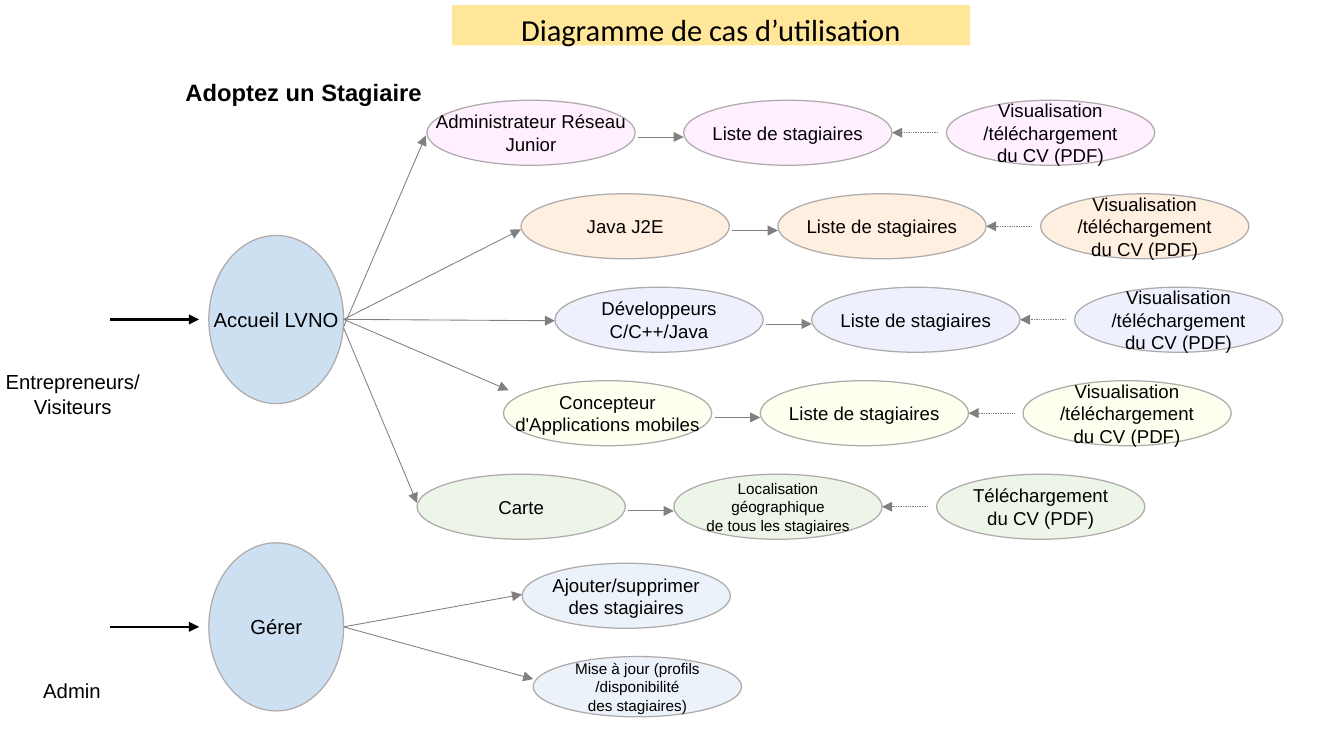
from dataclasses import dataclass
from typing import Optional

from lxml.etree import SubElement
from pptx import Presentation
from pptx.dml.color import RGBColor
from pptx.enum.dml import MSO_LINE
from pptx.enum.shapes import MSO_CONNECTOR, MSO_SHAPE
from pptx.enum.text import MSO_ANCHOR, PP_ALIGN
from pptx.oxml.ns import qn
from pptx.shapes.shapetree import SlideShapes
from pptx.text.text import TextFrame
from pptx.util import Pt


@dataclass(frozen=True)
class Theme:
    body_font: str = "Arial"
    title_font: str = "Calibri"
    ink: str = "000000"
    banner: str = "FFE699"
    hub: str = "5B9BD5"
    admin: str = "BDD7EE"
    outline: str = "AFABAB"
    arrow: str = "808080"
    opacity: int = 30
    title_size: float = 18
    heading_size: float = 14
    hub_size: float = 12
    case_size: float = 11
    small_size: float = 9
    thin: float = 0.5
    thick: float = 1.5


THEME = Theme()


@dataclass(frozen=True)
class Point:
    x: float
    y: float


@dataclass(frozen=True)
class Box:
    left: float
    top: float
    width: float
    height: float

    @property
    def middle(self) -> float:
        return self.top + self.height / 2

    @property
    def right(self) -> float:
        return self.left + self.width

    def lengths(self) -> tuple[Pt, Pt, Pt, Pt]:
        return Pt(self.left), Pt(self.top), Pt(self.width), Pt(self.height)


@dataclass(frozen=True)
class UseCase:
    """One line of three linked ovals, reached from the home hub."""
    left: float
    color: str
    profile: str
    arrow_end: Point
    arrow_start_y: float = 188.6
    listing: str = "Liste de stagiaires"
    listing_size: float = THEME.case_size
    document: str = "Visualisation\n/téléchargement\ndu CV (PDF)"


@dataclass(frozen=True)
class AdminTask:
    box: Box
    label: str
    size: float
    arrow_end: Point


@dataclass(frozen=True)
class Actor:
    """A user, the arrow of entry and the hub it leads to."""
    name_box: Box
    name: str
    hub_box: Box
    hub: str


HOME = Actor(Box(0, 214.6, 86, 30), "Entrepreneurs/\nVisiteurs",
             Box(123.3, 139, 79.6, 99.3), "Accueil LVNO")
ADMIN = Actor(Box(18, 396.7, 49, 18), "Admin", Box(123.3, 320.5, 79.6, 99.3), "Gérer")

USE_CASES = [
    UseCase(252, "FFCCFF", "Administrateur Réseau\nJunior", Point(251.4, 80), 193),
    UseCase(307.6, "FFCC99", "Java J2E", Point(307.5, 135.5)),
    UseCase(327.6, "C9CEFB", "Développeurs\nC/C++/Java", Point(327.6, 189.4)),
    UseCase(297.2, "FFFFCC", "Concepteur\nd'Applications mobiles", Point(300.3, 230.4)),
    UseCase(246.2, "C5E0B4", "Carte", Point(246.2, 297), 193.7,
            "Localisation\ngéographique\nde tous les stagiaires", THEME.small_size,
            "Téléchargement\ndu CV (PDF)"),
]
ADMIN_TASKS = [
    AdminTask(Box(308.2, 332.6, 123, 38.4), "Ajouter/supprimer\ndes stagiaires",
              THEME.case_size, Point(308.2, 351)),
    AdminTask(Box(314.8, 387.7, 123, 35.6),
              "Mise à jour (profils\n/disponibilité\ndes stagiaires)",
              THEME.small_size, Point(314.8, 401)),
]

FIRST_TOP, ROW_STEP = 59.2, 55.2
CASE_WIDTH, CASE_HEIGHT = 123, 38.4
LISTING_OFFSET, DOCUMENT_OFFSET = 151.6, 306.7
FORWARD_GAP, RETURN_GAP, FORWARD_DROP = 1.8, 5, 21.7


def write(frame: TextFrame, text: str, size: float, font: str = THEME.body_font,
          bold: bool = False, align: PP_ALIGN = PP_ALIGN.CENTER,
          anchor: MSO_ANCHOR = MSO_ANCHOR.TOP, padding: float = 3.6) -> None:
    frame.word_wrap = False
    frame.vertical_anchor = anchor
    frame.margin_left = frame.margin_right = Pt(0)
    frame.margin_top = frame.margin_bottom = Pt(padding)
    for index, line in enumerate(text.split("\n")):
        paragraph = frame.add_paragraph() if index else frame.paragraphs[0]
        paragraph.alignment = align
        run = paragraph.add_run()
        run.text = line
        run.font.name = font
        run.font.size = Pt(size)
        run.font.bold = bold
        run.font.color.rgb = RGBColor.from_string(THEME.ink)


def draw_oval(shapes: SlideShapes, box: Box, color: str, text: str, size: float) -> None:
    oval = shapes.add_shape(MSO_SHAPE.OVAL, *box.lengths())
    oval.shadow.inherit = False
    oval.fill.solid()
    oval.fill.fore_color.rgb = RGBColor.from_string(color)
    tint = oval.fill._xPr.find(qn("a:solidFill"))[0]
    SubElement(tint, qn("a:alpha"), val=str(THEME.opacity * 1000))
    oval.line.color.rgb = RGBColor.from_string(THEME.outline)
    oval.line.width = Pt(0)
    write(oval.text_frame, text, size, anchor=MSO_ANCHOR.MIDDLE, padding=0)


def draw_arrow(shapes: SlideShapes, start: Point, end: Point, color: str = THEME.arrow,
               width: float = THEME.thin, dash: Optional[MSO_LINE] = None) -> None:
    arrow = shapes.add_connector(MSO_CONNECTOR.STRAIGHT, Pt(start.x), Pt(start.y),
                                 Pt(end.x), Pt(end.y))
    arrow.line.color.rgb = RGBColor.from_string(color)
    arrow.line.width = Pt(width)
    if dash is not None:
        arrow.line.dash_style = dash
    SubElement(arrow.line._get_or_add_ln(), qn("a:tailEnd"), type="triangle")
    SubElement(arrow._element.spPr, qn("a:effectLst"))


def draw_actor(shapes: SlideShapes, actor: Actor) -> None:
    write(shapes.add_textbox(*actor.name_box.lengths()).text_frame, actor.name, THEME.hub_size)
    draw_oval(shapes, actor.hub_box, THEME.hub, actor.hub, THEME.hub_size)
    y = actor.hub_box.middle
    draw_arrow(shapes, Point(65, y), Point(117.5, y), THEME.ink, THEME.thick)


def draw_use_case(shapes: SlideShapes, case: UseCase, top: float) -> None:
    profile, listing, document = (
        Box(case.left + offset, top, CASE_WIDTH, CASE_HEIGHT)
        for offset in (0, LISTING_OFFSET, DOCUMENT_OFFSET))
    draw_arrow(shapes, Point(HOME.hub_box.right, case.arrow_start_y), case.arrow_end)
    draw_oval(shapes, profile, case.color, case.profile, THEME.case_size)
    draw_oval(shapes, listing, case.color, case.listing, case.listing_size)
    draw_oval(shapes, document, case.color, case.document, THEME.case_size)
    forward_y = top + FORWARD_DROP
    draw_arrow(shapes, Point(profile.right + FORWARD_GAP, forward_y),
               Point(listing.left, forward_y))
    draw_arrow(shapes, Point(document.left - RETURN_GAP, document.middle),
               Point(listing.right, listing.middle), dash=MSO_LINE.ROUND_DOT)


def draw_headings(shapes: SlideShapes) -> None:
    banner = shapes.add_shape(MSO_SHAPE.RECTANGLE, *Box(266.8, 3, 305.8, 23.8).lengths())
    banner.shadow.inherit = False
    banner.fill.solid()
    banner.fill.fore_color.rgb = RGBColor.from_string(THEME.banner)
    banner.line.fill.background()
    write(banner.text_frame, "Diagramme de cas d’utilisation", THEME.title_size,
          THEME.title_font)
    heading = shapes.add_textbox(*Box(109.5, 42.6, 142, 23).lengths())
    write(heading.text_frame, "Adoptez un Stagiaire", THEME.heading_size, bold=True,
          align=PP_ALIGN.LEFT)


def main() -> None:
    deck = Presentation()
    deck.slide_width, deck.slide_height = Pt(793.44), Pt(446.4)
    shapes = deck.slides.add_slide(deck.slide_layouts[6]).shapes
    draw_headings(shapes)
    for actor in (HOME, ADMIN):
        draw_actor(shapes, actor)
    for row, case in enumerate(USE_CASES):
        draw_use_case(shapes, case, FIRST_TOP + row * ROW_STEP)
    for task in ADMIN_TASKS:
        draw_arrow(shapes, Point(ADMIN.hub_box.right, ADMIN.hub_box.middle), task.arrow_end)
        draw_oval(shapes, task.box, THEME.admin, task.label, task.size)
    deck.save("out.pptx")


if __name__ == "__main__":
    main()
